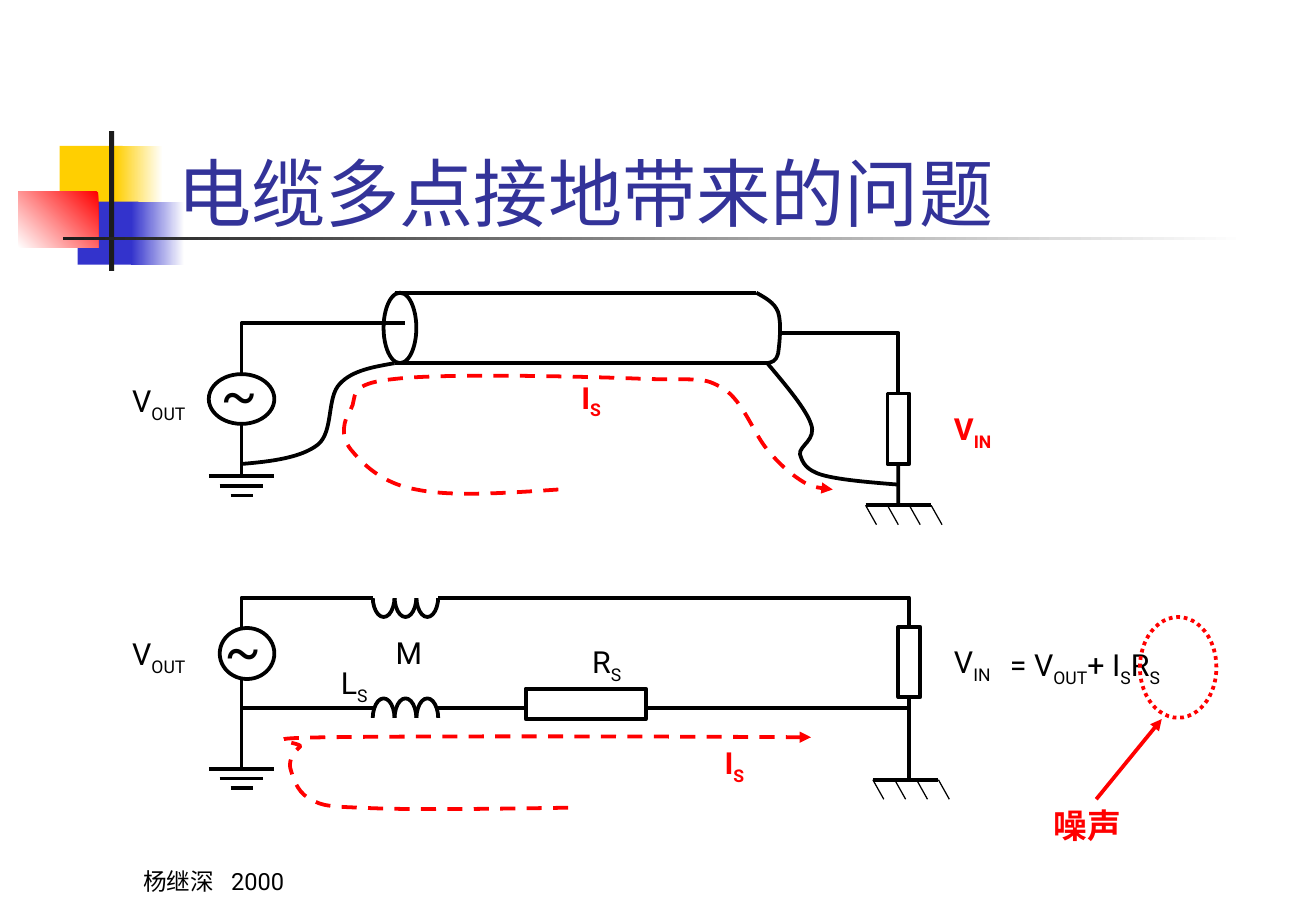
from dataclasses import dataclass
from typing import Optional

from lxml.etree import SubElement
from pptx import Presentation
from pptx.dml.color import RGBColor
from pptx.enum.dml import MSO_LINE
from pptx.enum.shapes import MSO_CONNECTOR, MSO_SHAPE
from pptx.enum.text import MSO_ANCHOR, MSO_AUTO_SIZE, PP_ALIGN
from pptx.oxml.ns import qn
from pptx.util import Inches, Pt

Point = tuple[float, float]


@dataclass(frozen=True)
class Theme:
    font: str = "Roboto"
    ink: str = "000000"
    paper: str = "FFFFFF"
    alert: str = "FF0000"
    title: str = "333399"
    yellow: str = "FFCF01"
    blue: str = "3333CC"
    bar: str = "1C1C1C"
    title_size: float = 44
    tilde_size: float = 32
    noise_size: float = 20
    label_size: float = 18
    author_size: float = 14
    wire: float = 2.25
    thin: float = 0.75


THEME = Theme()


@dataclass(frozen=True)
class Run:
    text: str
    subscript: bool = False
    spacing: int = 0


@dataclass(frozen=True)
class Label:
    left: float
    top: float
    width: float
    height: float
    runs: tuple[Run, ...]
    size: float = THEME.label_size
    color: str = THEME.ink
    bold: bool = False


@dataclass(frozen=True)
class Block:
    left: float
    top: float
    width: float
    height: float
    fill: Optional[str] = None
    line: Optional[str] = None
    weight: float = THEME.wire
    kind: MSO_SHAPE = MSO_SHAPE.RECTANGLE
    fade_angle: Optional[int] = None
    fade_to: str = THEME.paper


@dataclass(frozen=True)
class Trace:
    points: tuple[Point, ...]
    curved: bool = False
    current: bool = False


def symbol(letter: str, index: str) -> tuple[Run, ...]:
    return Run(letter), Run(index, True)


def stroke(item, color: str, weight: float) -> None:
    item.line.color.rgb = RGBColor.from_string(color)
    item.line.width = Pt(weight)


def add_arrowhead(item) -> None:
    SubElement(item.element.spPr.get_or_add_ln(), qn("a:tailEnd"), type="triangle")


def write(paragraph, runs: tuple[Run, ...], size: float, color: str, bold: bool = False) -> None:
    for part in runs:
        run = paragraph.add_run()
        run.text = part.text
        run.font.name = THEME.font
        run.font.size = Pt(size)
        run.font.bold = bold
        run.font.color.rgb = RGBColor.from_string(color)
        if part.subscript:
            run.font._element.set("baseline", "-25000")
        if part.spacing:
            run.font._element.set("spc", str(part.spacing))


def draw_block(shapes, block: Block):
    shape = shapes.add_shape(block.kind, *map(Inches, (block.left, block.top, block.width, block.height)))
    shape.shadow.inherit = False
    if block.fade_angle is not None:
        shape.fill.gradient()
        shape.fill.gradient_angle = block.fade_angle
        for stop, color in zip(shape.fill.gradient_stops, (block.fade_to, block.fill)):
            stop.color.rgb = RGBColor.from_string(color)
    elif block.fill:
        shape.fill.solid()
        shape.fill.fore_color.rgb = RGBColor.from_string(block.fill)
    else:
        shape.fill.background()
    if block.line:
        stroke(shape, block.line, block.weight)
    else:
        shape.line.fill.background()
    return shape


def draw_line(shapes, start: Point, end: Point, color: str = THEME.ink, weight: float = THEME.wire):
    line = shapes.add_connector(MSO_CONNECTOR.STRAIGHT, *map(Inches, start + end))
    stroke(line, color, weight)
    SubElement(line.element.spPr, qn("a:effectLst"))
    return line


def draw_trace(shapes, trace: Trace) -> None:
    first, *rest = [(Inches(x), Inches(y)) for x, y in trace.points]
    builder = shapes.build_freeform(*first)
    builder.add_line_segments(rest, close=False)
    shape = builder.convert_to_shape()
    shape.shadow.inherit = False
    shape.fill.background()
    stroke(shape, THEME.alert if trace.current else THEME.ink, THEME.wire)
    if trace.curved:
        segments = list(shape.element.iter(qn("a:lnTo")))
        outline = segments[0].getparent()
        for i in range(0, len(segments), 3):
            bend = SubElement(outline, qn("a:cubicBezTo"))
            for segment in segments[i:i + 3]:
                bend.append(segment[0])
                outline.remove(segment)
    if trace.current:
        shape.line.dash_style = MSO_LINE.DASH
        add_arrowhead(shape)


def draw_label(shapes, label: Label) -> None:
    box = shapes.add_textbox(*map(Inches, (label.left, label.top, label.width, label.height)))
    box.text_frame.word_wrap = True
    box.text_frame.auto_size = MSO_AUTO_SIZE.SHAPE_TO_FIT_TEXT
    paragraph = box.text_frame.paragraphs[0]
    paragraph.space_before = Pt(label.size * 0.625)
    write(paragraph, label.runs, label.size, label.color, label.bold)


def draw_earth(shapes, x: float, y: float) -> None:
    for i, half in enumerate((0.27, 0.18, 0.09)):
        level = y + i * 0.08
        draw_line(shapes, (x - half, level), (x + half, level))


def draw_chassis(shapes, left: float, y: float) -> None:
    draw_line(shapes, (left, y), (left + 0.54, y))
    for i in range(4):
        x = left + i * 0.18
        draw_line(shapes, (x, y), (x + 0.09, y + 0.16), weight=THEME.thin)


def draw_load(shapes, left: float, top: float, ground: float) -> None:
    load = draw_block(shapes, Block(left, top, 0.18, 0.58, THEME.paper, THEME.ink))
    lead = draw_line(shapes, (left + 0.09, top + 0.58), (left + 0.09, ground))
    lead.begin_connect(load, 2)


def draw_coil(shapes, left: float, top: float, mask_top: float) -> None:
    for i in range(3):
        draw_block(shapes, Block(left + i * 0.18, top, 0.18, 0.33, line=THEME.ink, kind=MSO_SHAPE.OVAL))
    draw_block(shapes, Block(left - 0.18, mask_top, 1.08, 0.25, THEME.paper, THEME.paper, THEME.thin))


ORNAMENTS = (
    Block(0.49, 1.2, 0.52, 0.52, THEME.yellow),
    Block(0.95, 1.2, 0.39, 0.52, THEME.yellow, fade_angle=180),
    Block(0.64, 1.66, 0.5, 0.52, THEME.blue),
    Block(1.08, 1.66, 0.44, 0.52, THEME.blue, fade_angle=180),
    Block(0.15, 1.58, 0.66, 0.46, THEME.paper, fade_angle=225, fade_to=THEME.alert),
    Block(0.9, 1.08, 0.04, 1.15, THEME.bar),
    Block(0.52, 1.95, 9.75, 0.03, THEME.bar, fade_angle=180),
)
COMPONENTS = (
    Block(3.16, 2.41, 0.27, 0.58, THEME.paper, THEME.ink, kind=MSO_SHAPE.OVAL),
    Block(1.72, 3.08, 0.54, 0.41, THEME.paper, THEME.ink, kind=MSO_SHAPE.OVAL),
    Block(1.81, 5.17, 0.45, 0.42, line=THEME.ink, kind=MSO_SHAPE.OVAL),
    Block(4.33, 5.67, 0.99, 0.25, THEME.paper, THEME.ink),
)
WIRES = (
    ((1.99, 3.5), (1.99, 3.92)), ((3.25, 2.41), (6.23, 2.41)), ((3.25, 2.99), (6.32, 2.99)),
    ((1.99, 5.83), (3.07, 5.83)), ((3.61, 5.83), (4.33, 5.83)), ((5.33, 5.83), (7.49, 5.83)),
    ((1.99, 5.58), (1.99, 6.33)),
)
TRACES = (
    Trace(((6.23, 2.41), (6.3, 2.45), (6.38, 2.49), (6.41, 2.57), (6.44, 2.66), (6.42, 2.84), (6.41, 2.91),
           (6.39, 2.98), (6.36, 2.98), (6.32, 2.99)), curved=True),
    Trace(((6.41, 2.74), (7.4, 2.74), (7.4, 3.24))),
    Trace(((1.99, 3.07), (1.99, 2.66), (3.34, 2.66))),
    Trace(((3.25, 2.99), (3.08, 3.02), (2.9, 3.05), (2.8, 3.16), (2.69, 3.27), (2.75, 3.55), (2.62, 3.66),
           (2.48, 3.77), (2.23, 3.8), (1.99, 3.82)), curved=True),
    Trace(((6.32, 2.99), (6.48, 3.18), (6.64, 3.37), (6.68, 3.49), (6.73, 3.62), (6.58, 3.67), (6.59, 3.74),
           (6.61, 3.81), (6.64, 3.87), (6.77, 3.91), (6.91, 3.95), (7.15, 3.97), (7.4, 3.99)), curved=True),
    Trace(((4.6, 4.03), (4.16, 4.06), (3.72, 4.09), (3.43, 4.03), (3.14, 3.98), (2.98, 3.81), (2.89, 3.7),
           (2.8, 3.59), (2.83, 3.46), (2.89, 3.37), (2.95, 3.27), (2.84, 3.16), (3.25, 3.12),
           (3.66, 3.07), (4.87, 3.1), (5.33, 3.12), (5.78, 3.13), (5.79, 3.1), (5.96, 3.2),
           (6.12, 3.3), (6.21, 3.57), (6.32, 3.7), (6.42, 3.82), (6.5, 3.89), (6.59, 3.95),
           (6.68, 4.01), (6.77, 4.02), (6.86, 4.03)), curved=True, current=True),
    Trace(((1.99, 5.17), (1.99, 4.92), (3.07, 4.92))),
    Trace(((3.61, 4.92), (7.49, 4.92), (7.49, 5.17))),
    Trace(((4.68, 6.65), (4.01, 6.66), (3.34, 6.67), (2.98, 6.65), (2.63, 6.64), (2.64, 6.62), (2.54, 6.57),
           (2.44, 6.51), (2.41, 6.39), (2.39, 6.32), (2.38, 6.25), (2.42, 6.19), (2.47, 6.15),
           (2.52, 6.11), (1.99, 6.08), (2.69, 6.07), (3.39, 6.06), (5.04, 6.06), (6.68, 6.07)),
          curved=True, current=True),
)
LABELS = (
    Label(1.72, 2.92, 0.63, 0.64, (Run("~"),), THEME.tilde_size),
    Label(1.75, 5.03, 0.63, 0.64, (Run("~"),), THEME.tilde_size),
    Label(4.69, 3.07, 0.63, 0.44, symbol("I", "S"), color=THEME.alert, bold=True),
    Label(5.87, 6.08, 0.63, 0.44, symbol("I", "S"), color=THEME.alert, bold=True),
    Label(2.71, 5.42, 0.63, 0.44, symbol("L", "S")),
    Label(4.78, 5.25, 0.63, 0.44, symbol("R", "S")),
    Label(0.99, 3.1, 0.99, 0.44, symbol("V", "OUT")),
    Label(0.99, 5.18, 0.9, 0.44, symbol("V", "OUT")),
    Label(3.16, 5.17, 0.45, 0.4, (Run("M"),)),
    Label(7.76, 5.25, 0.63, 0.44, symbol("V", "IN")),
    Label(7.76, 3.33, 0.63, 0.44, symbol("V", "IN"), color=THEME.alert, bold=True),
    Label(8.22, 5.27, 1.99, 0.44, symbol("= V", "OUT") + symbol("+ I", "S") + symbol("R", "S")),
    Label(8.58, 6.58, 0.9, 0.44, (Run("噪声"),), THEME.noise_size, THEME.alert, True),
)


def draw_title(slide) -> None:
    title = slide.shapes.title
    title.element.getparent().append(title.element)
    title.left, title.top, title.width, title.height = map(Inches, (1.36, 0.75, 9.23, 1.25))
    title.text_frame.auto_size = MSO_AUTO_SIZE.NONE
    title.text_frame.vertical_anchor = MSO_ANCHOR.BOTTOM
    heading = title.text_frame.paragraphs[0]
    heading.alignment = PP_ALIGN.LEFT
    write(heading, (Run("电缆多点接地带来的问题"),), THEME.title_size, THEME.title)


def draw_author(shapes) -> None:
    author = shapes.add_textbox(*map(Inches, (1.08, 6.92, 2.26, 0.5)))
    author.text_frame.word_wrap = True
    author.text_frame.vertical_anchor = MSO_ANCHOR.BOTTOM
    runs = (Run("杨继深"), Run(" ", spacing=700), Run("2000"))
    write(author.text_frame.paragraphs[0], runs, THEME.author_size, THEME.ink)


def main() -> None:
    deck = Presentation()
    deck.slide_width, deck.slide_height = Inches(10.84), Inches(7.5)
    slide = deck.slides.add_slide(deck.slide_layouts[5])
    shapes = slide.shapes
    for ornament in ORNAMENTS:
        draw_block(shapes, ornament)
    draw_title(slide)
    draw_coil(shapes, 3.07, 4.75, 4.67)
    draw_coil(shapes, 3.07, 5.75, 5.92)
    for component in COMPONENTS:
        draw_block(shapes, component)
    for start, end in WIRES:
        draw_line(shapes, start, end)
    for trace in TRACES:
        draw_trace(shapes, trace)
    draw_load(shapes, 7.31, 3.24, 4.16)
    draw_load(shapes, 7.4, 5.16, 6.42)
    draw_earth(shapes, 1.99, 3.92)
    draw_earth(shapes, 1.99, 6.33)
    draw_chassis(shapes, 7.13, 4.16)
    draw_chassis(shapes, 7.19, 6.42)
    for label in LABELS:
        draw_label(shapes, label)
    noise = draw_block(shapes, Block(9.39, 5.08, 0.63, 0.83, line=THEME.alert, kind=MSO_SHAPE.OVAL))
    noise.line.dash_style = MSO_LINE.ROUND_DOT
    add_arrowhead(draw_line(shapes, (9.03, 6.58), (9.57, 5.92), THEME.alert))
    draw_author(shapes)
    deck.save("out.pptx")


if __name__ == "__main__":
    main()
